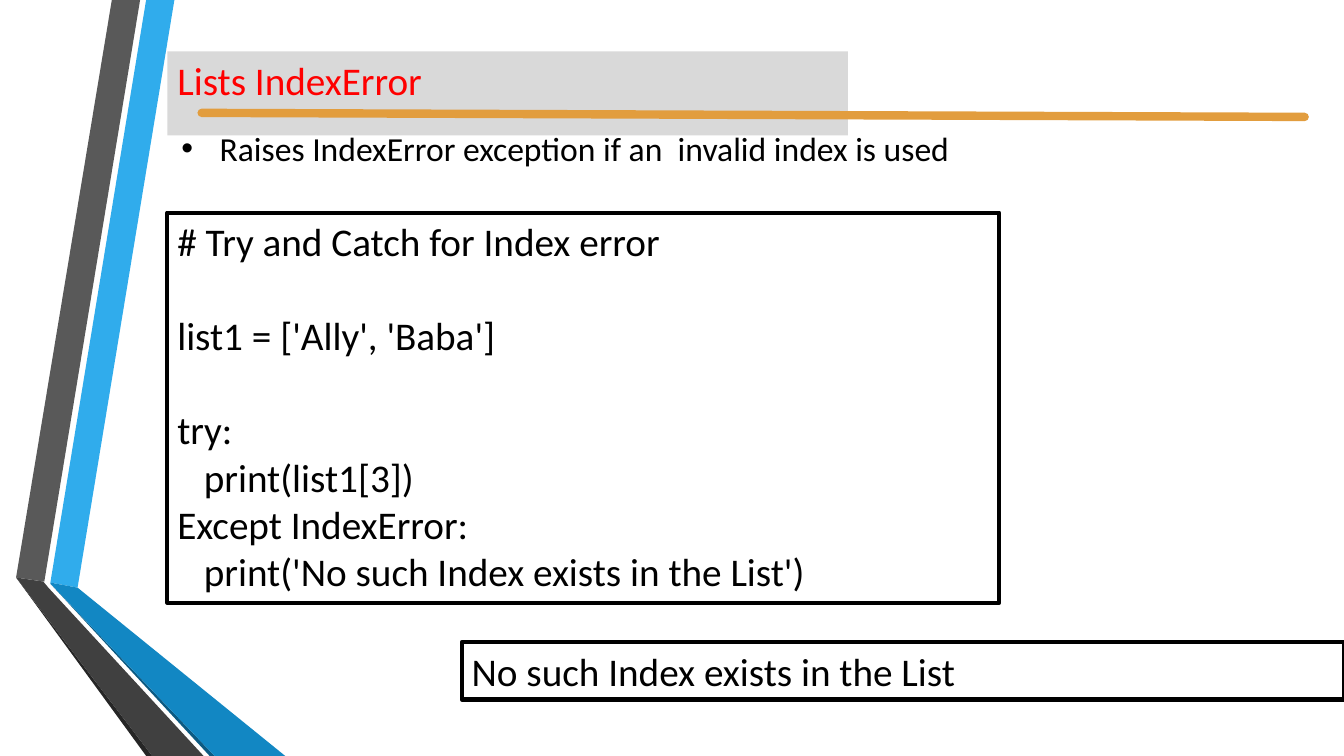
from lxml.etree import SubElement
from pptx import Presentation
from pptx.dml.color import RGBColor
from pptx.enum.shapes import MSO_CONNECTOR, MSO_SHAPE
from pptx.enum.text import MSO_ANCHOR, MSO_AUTO_SIZE, PP_ALIGN
from pptx.oxml.ns import qn
from pptx.util import Inches, Pt

BLACK = RGBColor(0x00, 0x00, 0x00)
RED = RGBColor(0xFF, 0x00, 0x00)
TITLE_GRAY = RGBColor(0xD9, 0xD9, 0xD9)
ORANGE = RGBColor(0xE2, 0x9D, 0x3E)
SKY_BLUE = RGBColor(0x30, 0xAC, 0xEC)
MID_BLUE = RGBColor(0x12, 0x87, 0xC3)
DEEP_BLUE = RGBColor(0x0C, 0x5A, 0x82)
MID_GRAY = RGBColor(0x59, 0x59, 0x59)
DARK_GRAY = RGBColor(0x40, 0x40, 0x40)
DEEP_GRAY = RGBColor(0x26, 0x26, 0x26)

RIBBONS = [
    (SKY_BLUE, [(0.5, 5.78), (0.77, 5.83), (1.73, 0), (1.45, 0)]),
    (MID_GRAY, [(1.39, 0), (1.11, 0), (0.16, 5.73), (0.44, 5.77)]),
    (DEEP_GRAY, [(0.16, 5.73), (1.45, 7.5), (1.51, 7.5)]),
    (DEEP_BLUE, [(0.5, 5.79), (2.08, 7.5), (2.13, 7.5)]),
    (MID_BLUE, [(0.5, 5.79), (2.13, 7.5), (2.83, 7.5), (0.77, 5.83), (0.5, 5.78)]),
    (DARK_GRAY, [(2.02, 7.5), (0.48, 5.83), (0.43, 5.77), (0.16, 5.73), (1.51, 7.5)]),
]

CODE = """# Try and Catch for Index error

list1 = ['Ally', 'Baba']

try:
   print(list1[3])
Except IndexError:
   print('No such Index exists in the List')"""
OUTPUT = "No such Index exists in the List"
LINE_HEIGHT = Pt(33.6)


def write_text(shape, text, size, color=BLACK):
    frame = shape.text_frame
    frame.text = text
    frame.word_wrap = True
    frame.auto_size = MSO_AUTO_SIZE.SHAPE_TO_FIT_TEXT
    frame.vertical_anchor = MSO_ANCHOR.TOP
    for para in frame.paragraphs:
        para.alignment = PP_ALIGN.LEFT
        for span in para.runs:
            span.font.name = "Calibri"
            span.font.size = Pt(size)
            span.font.color.rgb = color


deck = Presentation()
deck.slide_width = Inches(13.33)
deck.slide_height = Inches(7.5)
page = deck.slides.add_slide(deck.slide_layouts[5])

for color, corners in RIBBONS:
    points = [(Inches(x), Inches(y)) for x, y in corners]
    builder = page.shapes.build_freeform(*points[0])
    builder.add_line_segments(points[1:], close=True)
    ribbon = builder.convert_to_shape()
    ribbon.shadow.inherit = False
    ribbon.fill.solid()
    ribbon.fill.fore_color.rgb = color
    ribbon.line.fill.background()

title = page.shapes.title
title.left, title.top = Inches(1.66), Inches(0.51)
title.width, title.height = Inches(6.75), Inches(0.57)
title.fill.solid()
title.fill.fore_color.rgb = TITLE_GRAY
write_text(title, "Lists IndexError", 28, RED)

rule = page.shapes.add_connector(
    MSO_CONNECTOR.STRAIGHT, Inches(2), Inches(1.12), Inches(12.94), Inches(1.16)
)
rule.line.color.rgb = ORANGE
rule.line.width = Pt(6)
rule.line._get_or_add_ln().set("cap", "rnd")
SubElement(rule._element.spPr, qn("a:effectLst"))

bullet_box = page.shapes.add_textbox(Inches(1.7), Inches(1.22), Inches(11.35), Inches(0.5))
write_text(bullet_box, "Raises IndexError exception if an  invalid index is used", 24)
properties = bullet_box.text_frame.paragraphs[0]._p.get_or_add_pPr()
properties.set("marL", str(Inches(0.38)))
properties.set("indent", str(-Inches(0.38)))
SubElement(properties, qn("a:buFont"), typeface="Arial")
SubElement(properties, qn("a:buChar"), char="•")

code_lines = CODE.split("\n")
shown_lines = [line for line in code_lines if line]
for left, top, width, height, text in [
    (4.58, 6.37, 8.75, 0.57, OUTPUT),
    (1.66, 2.11, 8.25, 3.87, "\n".join(shown_lines)),
]:
    box = page.shapes.add_shape(
        MSO_SHAPE.RECTANGLE, Inches(left), Inches(top), Inches(width), Inches(height)
    )
    box.shadow.inherit = False
    box.fill.background()
    box.line.color.rgb = BLACK
    box.line.width = Pt(3)
    SubElement(box.line._get_or_add_ln(), qn("a:round"))
    write_text(box, text, 28)
    for para in box.text_frame.paragraphs[1:]:
        if not code_lines[code_lines.index(para.text) - 1]:
            para.space_before = LINE_HEIGHT

deck.save("out.pptx")
